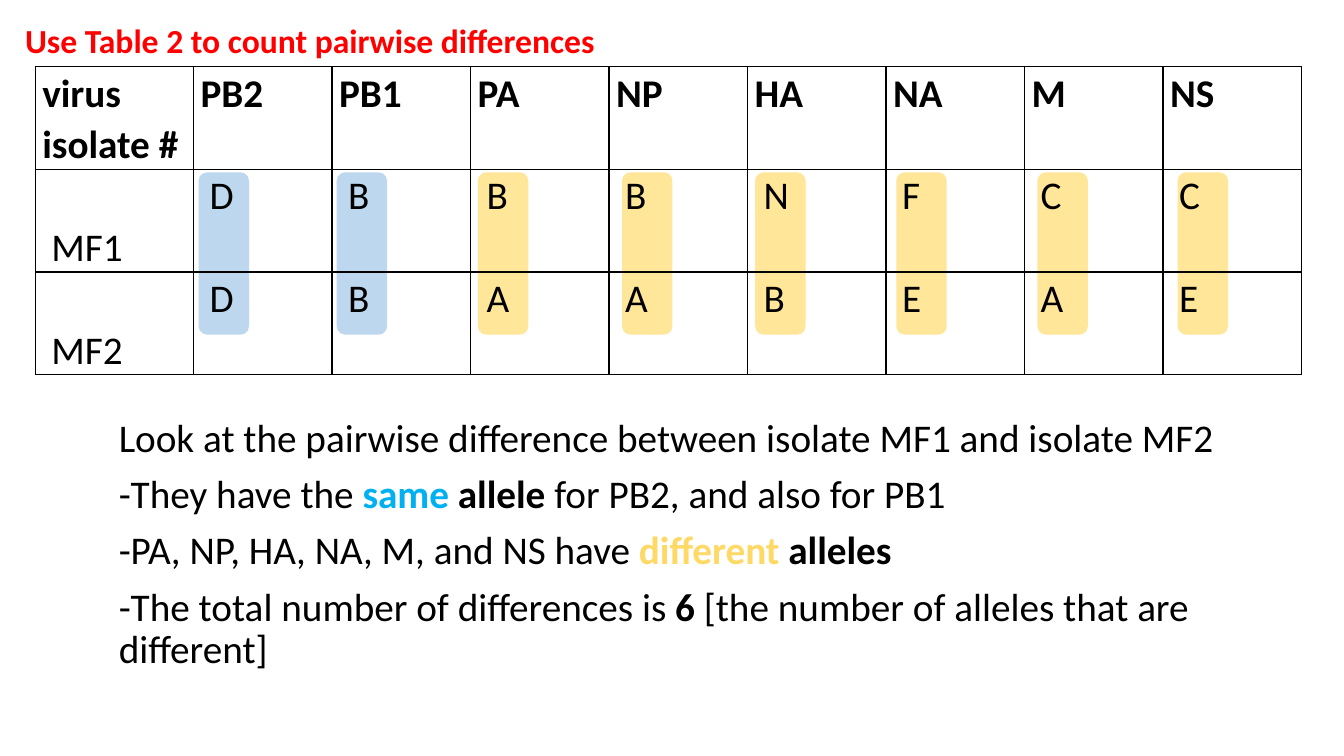
from lxml import etree
from pptx import Presentation, util as u
from pptx.dml.color import RGBColor
from pptx.enum import shapes, text
from pptx.oxml.ns import qn

BLACK, RED, SAME, DIFFERENT = "000000", "FF0000", "00B0F0", "FFD966"
SAME_FILL, DIFFERENT_FILL = "BDD7EE", "FFE699"
NO_STYLE_GRID = "{5940675A-B579-460E-94D1-54222C63F5DA}"


def set_color(target, color):
    target.rgb = RGBColor.from_string(color)


def add_run(paragraph, words, color=BLACK, bold=False, size=28):
    run = paragraph.add_run()
    run.text = words
    for name, value in {"name": "Calibri", "size": u.Pt(size), "bold": bold}.items():
        setattr(run.font, name, value)
    set_color(run.font.color, color)


presentation = Presentation()
presentation.slide_width, presentation.slide_height = u.Inches(13.33), u.Inches(7.5)
slide = presentation.slides.add_slide(presentation.slide_layouts[6])

header = ["virus isolate #", "PB2", "PB1", "PA", "NP", "HA", "NA", "M", "NS"]
isolates = [["MF1", *"DBBBNFCC"], ["MF2", *"DBAABEAE"]]
highlight_lefts = [1.97, 3.34, 4.74, 6.17, 7.49, 8.89, 10.29, 11.68]

# Allele highlights, behind the table
for left, first, second in zip(highlight_lefts, isolates[0][1:], isolates[1][1:]):
    highlight = slide.shapes.add_shape(
        shapes.MSO_SHAPE.ROUNDED_RECTANGLE,
        u.Inches(left), u.Inches(1.71), u.Inches(0.5), u.Inches(1.61))
    highlight.shadow.inherit = False
    highlight.fill.solid()
    set_color(highlight.fill.fore_color, SAME_FILL if first == second else DIFFERENT_FILL)
    highlight.line.fill.background()

# Allele table
table_width, label_width, row_height = 12.56, 1.57, 1.02
rows = [header, *isolates]
table = slide.shapes.add_table(
    len(rows), len(header), u.Inches(0.35), u.Inches(0.66),
    u.Inches(table_width), u.Inches(row_height * len(rows))).table
table.first_row = table.horz_banding = False
table._tbl.tblPr.find(qn("a:tableStyleId")).text = NO_STYLE_GRID
for index, column in enumerate(table.columns):
    allele_width = (table_width - label_width) / (len(header) - 1)
    column.width = u.Inches(allele_width if index else label_width)

for row_index, values in enumerate(rows):
    table.rows[row_index].height = u.Inches(row_height)
    for column_index, value in enumerate(values):
        cell = table.cell(row_index, column_index)
        is_isolate = row_index > 0 and column_index == 0
        cell_format = {
            "margin_left": u.Inches(0.16 if row_index else 0.07),
            "margin_right": u.Inches(0.07), "margin_top": 0, "margin_bottom": 0,
            "vertical_anchor": text.MSO_ANCHOR.BOTTOM if is_isolate else text.MSO_ANCHOR.TOP,
        }
        for name, setting in cell_format.items():
            setattr(cell, name, setting)
        paragraph = cell.text_frame.paragraphs[0]
        paragraph.line_spacing = 1.07
        add_run(paragraph, value, bold=row_index == 0)
        properties = cell._tc.get_or_add_tcPr()
        for side in ("a:lnL", "a:lnR", "a:lnT", "a:lnB"):
            border = etree.SubElement(properties, qn(side), w=str(u.Pt(1)))
            fill = etree.SubElement(border, qn("a:solidFill"))
            etree.SubElement(fill, qn("a:srgbClr"), val=BLACK)
        cell.fill.background()

# Title and explanation: each paragraph is a list of run arguments
title = [[("Use Table 2 to count pairwise differences", RED, True, 24)]]
explanation = [
    [("Look at the pairwise difference between isolate MF1 and isolate MF2",)],
    [("-They have the ",), ("same", SAME, True), (" allele", BLACK, True),
     (" for PB2, and also for PB1",)],
    [("-PA, NP, HA, NA, M, and NS have ",), ("different", DIFFERENT, True),
     (" alleles", BLACK, True)],
    [("-The total number of differences is ",), ("6", BLACK, True),
     (" [the number of alleles that are different]",)],
]
for bounds, paragraphs in (((0.15, 0.19, 13.06, 0.46), title),
                           ((1.08, 4.1, 11.5, 2.82), explanation)):
    frame = slide.shapes.add_textbox(*map(u.Inches, bounds)).text_frame
    frame.word_wrap = True
    for index, runs in enumerate(paragraphs):
        paragraph = frame.add_paragraph() if index else frame.paragraphs[0]
        paragraph.line_spacing = 0.9
        paragraph.space_before = u.Pt(10 if index else 0)
        for run in runs:
            add_run(paragraph, *run)

presentation.save("out.pptx")
